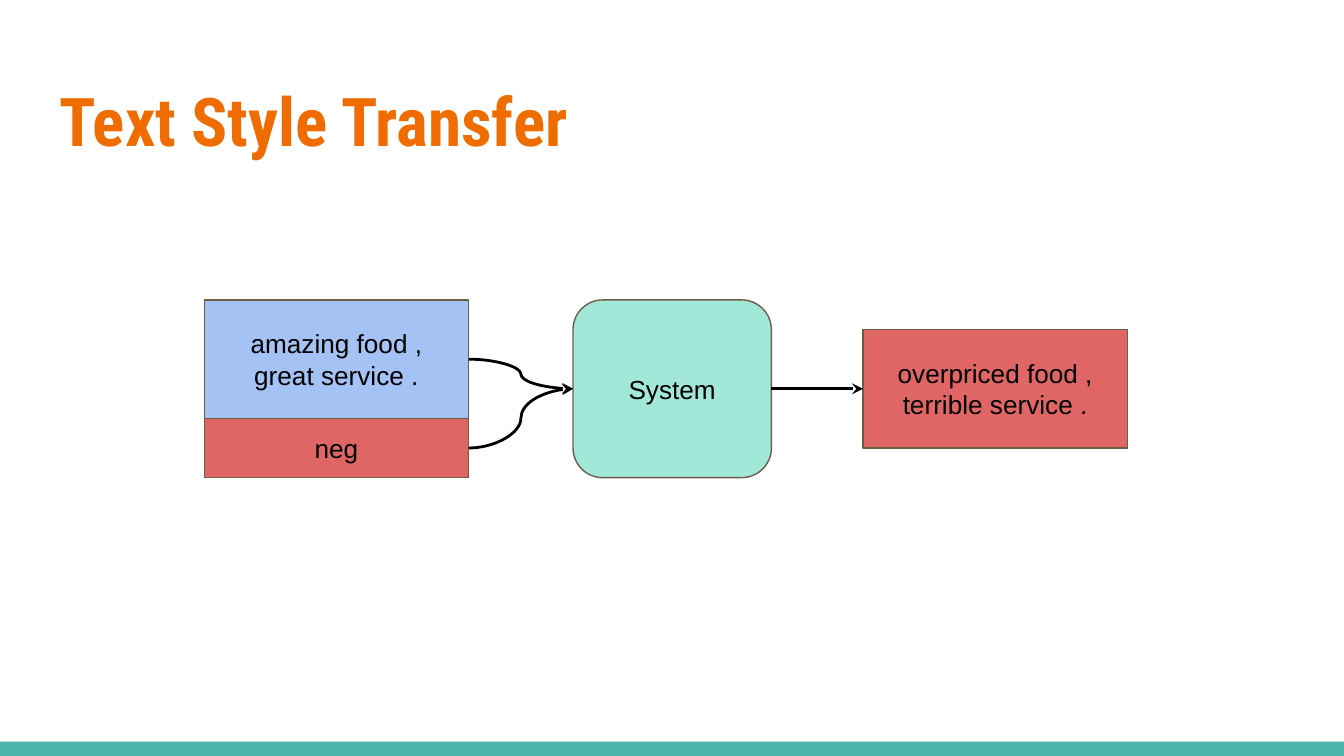
"""Build the Text Style Transfer slide."""
from dataclasses import dataclass

from lxml import etree
from pptx import Presentation
from pptx.dml.color import RGBColor
from pptx.enum.shapes import MSO_CONNECTOR, MSO_SHAPE
from pptx.enum.text import MSO_ANCHOR, MSO_AUTO_SIZE, PP_ALIGN
from pptx.oxml.ns import qn
from pptx.util import Cm, Pt

RECT, ROUNDED = MSO_SHAPE.RECTANGLE, MSO_SHAPE.ROUNDED_RECTANGLE
CURVE = MSO_CONNECTOR.CURVE
TOP, MIDDLE = MSO_ANCHOR.TOP, MSO_ANCHOR.MIDDLE
LEFT, CENTER = PP_ALIGN.LEFT, PP_ALIGN.CENTER
NO_AUTOFIT = MSO_AUTO_SIZE.NONE
TITLE_ONLY = 5
LEFT_SITE, RIGHT_SITE = 1, 3


@dataclass(frozen=True)
class Theme:
    """Colours, fonts and sizes of the slide."""
    title: str = "EF6C00"
    ink: str = "000000"
    outline: str = "695D46"
    positive: str = "A4C2F4"
    negative: str = "E06666"
    system: str = "A1E8D9"
    bar: str = "4DB6AC"
    title_font: str = "Roboto Condensed"
    body_font: str = "Arial"
    title_size: float = 36
    body_size: float = 14
    outline_width: float = 0.75
    arrow_width: float = 1.5


THEME = Theme()


def rgb(value):
    """Return the colour for a hex string."""
    return RGBColor.from_string(value)


def write_text(shape, text, *, font=THEME.body_font, size=THEME.body_size,
               color=THEME.ink, bold=False, align=CENTER, anchor=MIDDLE):
    """Fill a shape with one formatted paragraph."""
    frame = shape.text_frame
    frame.word_wrap = True
    frame.auto_size = NO_AUTOFIT
    frame.vertical_anchor = anchor
    frame.margin_left = frame.margin_right = Cm(0.25)
    frame.margin_top = frame.margin_bottom = Cm(0.25)
    para = frame.paragraphs[0]
    para.alignment = align
    span = para.add_run()
    span.text = text
    span.font.name = font
    span.font.size = Pt(size)
    span.font.bold = bold
    span.font.color.rgb = rgb(color)


def add_title(slide, text):
    """Place and format the title placeholder."""
    title = slide.shapes.title
    title.left, title.top = Cm(0.87), Cm(1.24)
    title.width, title.height = Cm(23.67), Cm(1.95)
    write_text(title, text, font=THEME.title_font, size=THEME.title_size,
               color=THEME.title, bold=True, align=LEFT, anchor=TOP)


def add_block(slide, kind, left, top, width, height, fill, outline=None):
    """Add a flat filled shape, outlined when a colour is given."""
    block = slide.shapes.add_shape(kind, left, top, width, height)
    block.shadow.inherit = False
    block.fill.solid()
    block.fill.fore_color.rgb = rgb(fill)
    if outline:
        block.line.color.rgb = rgb(outline)
        block.line.width = Pt(THEME.outline_width)
    else:
        block.line.fill.background()
    return block


def add_node(slide, text, left, top, width, height, fill, kind=RECT):
    """Add an outlined diagram box with its label."""
    node = add_block(slide, kind, left, top, width, height, fill, THEME.outline)
    write_text(node, text)
    return node


def add_arrow(slide, source, target):
    """Join the right side of one node to the left side of another."""
    arrow = slide.shapes.add_connector(CURVE, 0, 0, 0, 0)
    arrow.begin_connect(source, RIGHT_SITE)
    arrow.end_connect(target, LEFT_SITE)
    arrow.line.color.rgb = rgb(THEME.ink)
    arrow.line.width = Pt(THEME.arrow_width)
    etree.SubElement(arrow.line._get_or_add_ln(), qn("a:tailEnd"), type="stealth")
    etree.SubElement(arrow._element.spPr, qn("a:effectLst"))


def add_diagram(slide):
    """Draw the inputs, the system and the output on a grid of rows."""
    row, top, wide = Cm(1.12), Cm(5.67), Cm(5)
    system = add_node(slide, "System", Cm(10.83), top, Cm(3.75), 3 * row,
                      THEME.system, ROUNDED)
    sentence = add_node(slide, "amazing food , great service .", Cm(3.86), top,
                        wide, 2 * row, THEME.positive)
    style = add_node(slide, "neg", Cm(3.86), top + 2 * row, wide, row,
                     THEME.negative)
    result = add_node(slide, "overpriced food , terrible service .", Cm(16.31),
                      top + row // 2, wide, 2 * row, THEME.negative)
    for source, target in ((style, system), (sentence, system), (system, result)):
        add_arrow(slide, source, target)


def main():
    """Build and save the deck."""
    deck = Presentation()
    deck.slide_width, deck.slide_height = Cm(25.4), Cm(14.29)
    page = deck.slides.add_slide(deck.slide_layouts[TITLE_ONLY])
    add_block(page, RECT, 0, Cm(14.02), deck.slide_width, Cm(0.27), THEME.bar)
    add_title(page, "Text Style Transfer")
    add_diagram(page)
    deck.save("out.pptx")


if __name__ == "__main__":
    main()
